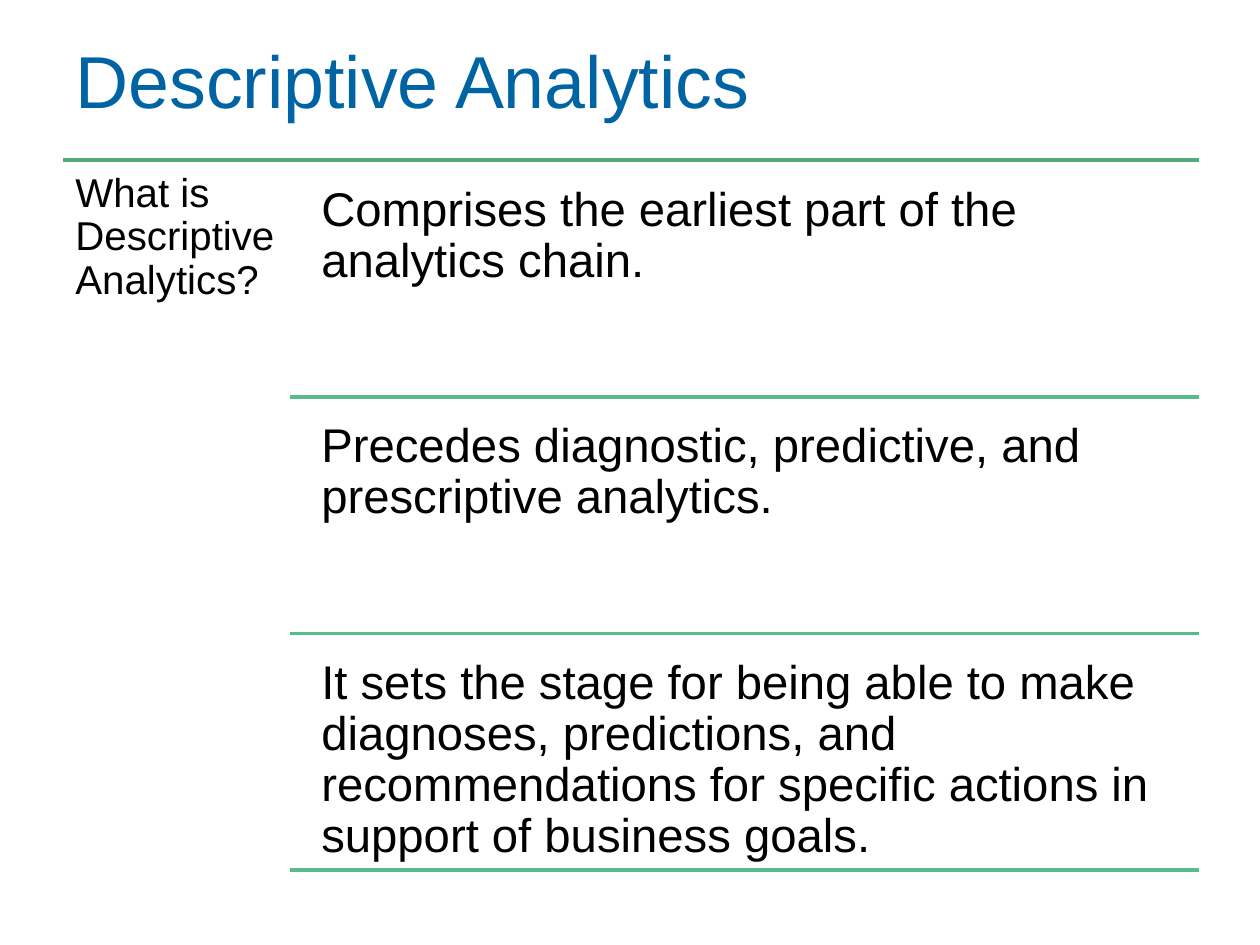
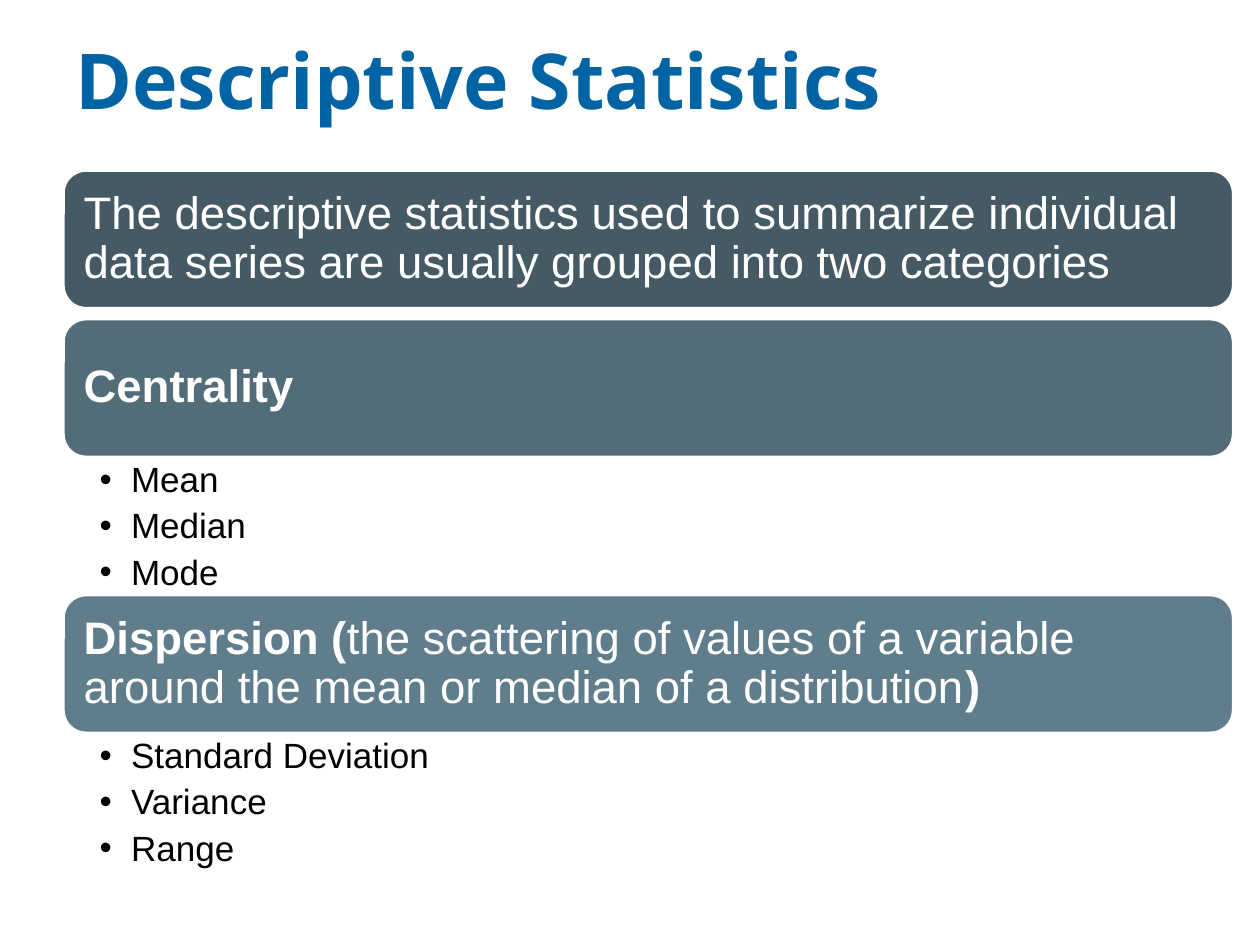
import dataclasses

import lxml.etree
import pptx
import pptx.dml.color
import pptx.enum.shapes
import pptx.enum.text
import pptx.oxml.ns
import pptx.util

Inches = pptx.util.Inches
Pt = pptx.util.Pt
Anchor = pptx.enum.text.MSO_ANCHOR
Shapes = pptx.enum.shapes.MSO_SHAPE


@dataclasses.dataclass(frozen=True)
class Theme:
    font: str = "Arial"
    display_font: str = "Open Sans"
    title: str = "0064A4"
    ink: str = "000000"
    paper: str = "FFFFFF"
    top_rule: str = "4FAA7D"
    rule: str = "57BB8A"
    bands: tuple = ("455A64", "526C78", "607D8B")
    title_size: int = 42
    display_size: int = 44
    question_size: int = 23
    answer_size: int = 27
    band_size: int = 26
    bullet_size: int = 20
    line_width: int = 2
    line_spacing: float = 0.9
    bullet_gap: float = 4.8


@dataclasses.dataclass(frozen=True)
class Box:
    left: float
    top: float
    width: float
    height: float

    def lengths(self):
        return [Inches(value) for value in dataclasses.astuple(self)]


THEME = Theme()
TITLE_BOX = Box(0.5, 0.19, 9.29, 0.97)


def rgb(color):
    return pptx.dml.color.RGBColor.from_string(color)


def set_values(target, values):
    for name, value in values.items():
        setattr(target, name, value)


def format_frame(frame, insets, anchor=Anchor.TOP):
    left, top, right, bottom = insets
    set_values(frame, {
        "word_wrap": True,
        "vertical_anchor": anchor,
        "margin_left": Inches(left),
        "margin_top": Inches(top),
        "margin_right": Inches(right),
        "margin_bottom": Inches(bottom),
    })


def write_spans(para, spans, size, color, font=THEME.font):
    set_values(para, {
        "line_spacing": THEME.line_spacing,
        "alignment": pptx.enum.text.PP_ALIGN.LEFT,
    })
    for text, bold in spans:
        span = para.add_run()
        span.text = text
        set_values(span.font, {"name": font, "size": Pt(size), "bold": bold})
        span.font.color.rgb = rgb(color)


def add_text(page, box, text, size, insets, color=THEME.ink,
             font=THEME.font, bold=False, anchor=Anchor.TOP):
    frame = page.shapes.add_textbox(*box.lengths()).text_frame
    format_frame(frame, insets, anchor)
    write_spans(frame.paragraphs[0], [(text, bold)], size, color, font)


def add_title(page, text, size, font, bold):
    add_text(page, TITLE_BOX, text, size, (0.1, 0.05, 0.1, 0.05),
             THEME.title, font, bold, Anchor.MIDDLE)


def add_rule(page, left, right, top, color):
    line = page.shapes.add_connector(
        pptx.enum.shapes.MSO_CONNECTOR.STRAIGHT,
        Inches(left), Inches(top), Inches(right), Inches(top))
    line.line.color.rgb = rgb(color)
    line.line.width = Pt(THEME.line_width)
    properties = line._element.spPr
    lxml.etree.SubElement(properties, pptx.oxml.ns.qn("a:effectLst"))


def add_bullet(para):
    properties = para._p.get_or_add_pPr()
    indent = Inches(0.25)
    properties.set("marL", str(indent))
    properties.set("indent", str(-indent))
    qn = pptx.oxml.ns.qn
    bullet_color = lxml.etree.SubElement(properties, qn("a:buClr"))
    lxml.etree.SubElement(bullet_color, qn("a:srgbClr"), val=THEME.ink)
    lxml.etree.SubElement(properties, qn("a:buFont"), typeface=THEME.font)
    lxml.etree.SubElement(properties, qn("a:buChar"), char="•")


def add_question_panel(page, box, question, answers):
    right = box.left + box.width
    rule_left = box.left + 1.8
    answer_left = rule_left + 0.14
    gap = 0.09
    answer_height = 1.79
    pitch = (box.height - gap) / len(answers)

    add_rule(page, box.left, right, box.top, THEME.top_rule)
    question_box = Box(box.left, box.top, 1.81, box.height)
    add_text(page, question_box, question, THEME.question_size, (0.1,) * 4)
    for index, answer in enumerate(answers):
        top = box.top + gap + index * pitch
        answer_box = Box(answer_left, top, right - answer_left, answer_height)
        add_text(page, answer_box, answer, THEME.answer_size, (0.11,) * 4)
        add_rule(page, rule_left, right, top + answer_height, THEME.rule)


def add_band(page, box, spans, color):
    band = page.shapes.add_shape(Shapes.ROUNDED_RECTANGLE, *box.lengths())
    band.shadow.inherit = False
    band.fill.solid()
    band.fill.fore_color.rgb = rgb(color)
    band.line.color.rgb = rgb(THEME.paper)
    band.line.width = Pt(THEME.line_width)
    format_frame(band.text_frame, (0.11,) * 4, Anchor.MIDDLE)
    write_spans(band.text_frame.paragraphs[0], spans, THEME.band_size,
                THEME.paper)


def add_bullet_list(page, box, items):
    frame = page.shapes.add_textbox(*box.lengths()).text_frame
    format_frame(frame, (0.29, 0.04, 0.2, 0.04))
    for index, item in enumerate(items):
        para = frame.add_paragraph() if index else frame.paragraphs[0]
        add_bullet(para)
        para.space_after = Pt(THEME.bullet_gap)
        write_spans(para, [(item, False)], THEME.bullet_size, THEME.ink)


def add_category_stack(page, box, categories):
    band_height, list_height, gap = 1.1, 1.09, 0.08
    top = box.top
    for color, (spans, items) in zip(THEME.bands, categories):
        band_box = Box(box.left, top, box.width, band_height)
        add_band(page, band_box, spans, color)
        top += band_height
        if items:
            list_box = Box(box.left, top, box.width, list_height)
            add_bullet_list(page, list_box, items)
            top += list_height
        else:
            top += gap


def build_analytics(page):
    add_title(page, "Descriptive Analytics", THEME.title_size, THEME.font, False)
    add_question_panel(
        page, Box(0.5, 1.27, 9.02, 5.72), "What is Descriptive Analytics?", [
            "Comprises the earliest part of the analytics chain.",
            "Precedes diagnostic, predictive, and prescriptive analytics.",
            "It sets the stage for being able to make diagnoses, predictions, "
            "and recommendations for specific actions in support of business "
            "goals.",
        ])


def build_statistics(page):
    add_title(page, "Descriptive Statistics", THEME.display_size,
              THEME.display_font, True)
    add_category_stack(page, Box(0.5, 1.35, 9.29, 5.56), [
        ([("The descriptive statistics used to summarize individual data "
           "series are usually grouped into two categories", False)], []),
        ([("Centrality", True)], ["Mean", "Median", "Mode"]),
        ([("Dispersion (", True),
          ("the scattering of values of a variable around the mean or median "
           "of a distribution", False),
          (")", True)],
         ["Standard Deviation", "Variance", "Range"]),
    ])


def main():
    deck = pptx.Presentation()
    set_values(deck, {"slide_width": Inches(10), "slide_height": Inches(7.5)})
    for build in (build_analytics, build_statistics):
        build(deck.slides.add_slide(deck.slide_layouts[6]))
    deck.save("out.pptx")


if __name__ == "__main__":
    main()
